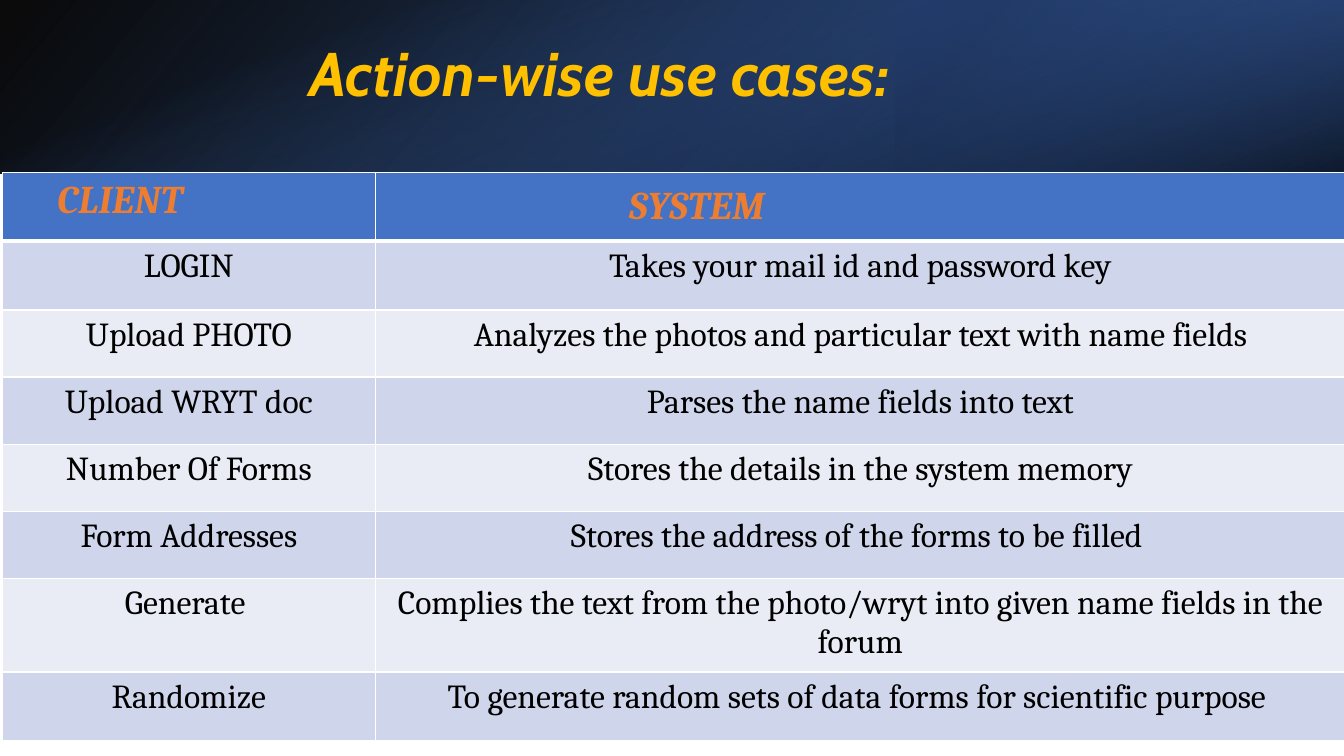
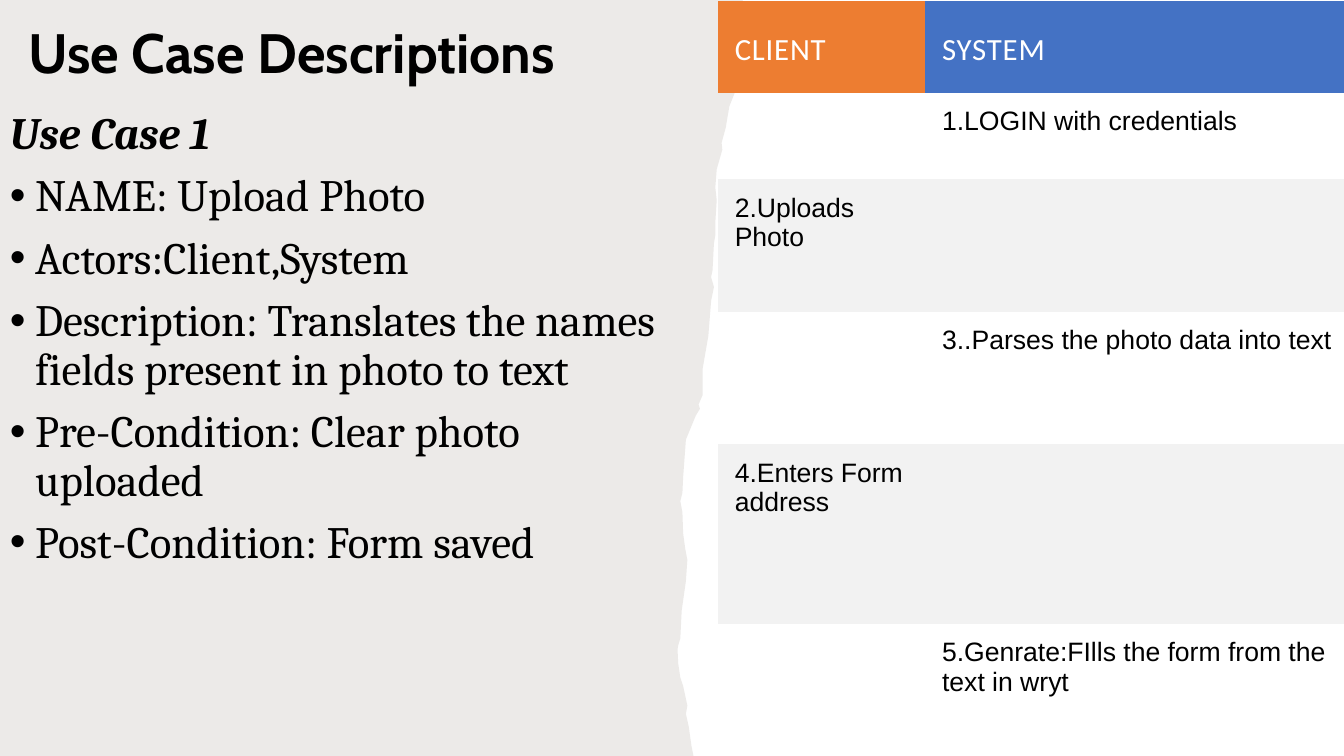
from dataclasses import dataclass, field
from typing import Any

from pptx import Presentation
from pptx.dml.color import RGBColor
from pptx.enum.shapes import MSO_SHAPE
from pptx.enum.text import MSO_ANCHOR, PP_ALIGN
from pptx.oxml.ns import qn
from pptx.oxml.xmlchemy import OxmlElement
from pptx.util import Pt

RECT = MSO_SHAPE.RECTANGLE
TOP, MIDDLE = MSO_ANCHOR.TOP, MSO_ANCHOR.MIDDLE
LEFT, CENTER = PP_ALIGN.LEFT, PP_ALIGN.CENTER
WIDTH, HEIGHT, BAND_H = 960, 540, 123.84
NO_STYLE = "{2D5ABB26-0587-4C30-8999-92F81FD0307C}"

COLORS = {
    "black": "000000", "white": "FFFFFF", "gold": "FFC000",
    "orange": "ED7D31", "blue": "4472C4", "deep": "2F5597",
    "navy": "203864", "row_dark": "CFD5EA", "row_light": "E9EBF5",
    "grey": "F2F2F2", "paper": "82766A",
}

Format = dict[str, Any]
TITLE: Format = {"name": "Cabin", "bold": True}
FORMATS: dict[str, Format] = {
    "banner": {**TITLE, "size": Pt(44), "italic": True, "color": "gold"},
    "heading": {**TITLE, "size": Pt(39.6), "color": "black"},
    "lead": {"name": "Cambria", "size": Pt(32), "bold": True, "italic": True,
             "color": "black"},
    "point": {"name": "Cambria", "size": Pt(32), "color": "black"},
    "case_head": {"name": "Cambria", "size": Pt(28), "bold": True,
                  "italic": True, "color": "orange"},
    "case": {"name": "Cambria", "size": Pt(24), "color": "black"},
    "step_head": {"name": "Calibri", "size": Pt(22), "color": "white"},
    "step": {"name": "Arial", "size": Pt(19), "color": "black"},
}


@dataclass(frozen=True)
class Stop:
    """One gradient stop: position and opacity in percent."""
    pos: int
    color: str
    opacity: int


@dataclass(frozen=True)
class Band:
    """A translucent gradient rectangle; angle runs clockwise."""
    box: tuple[float, float, float, float]
    stops: tuple[Stop, Stop]
    angle: int
    rotation: int = 0
    flip: bool = False


@dataclass(frozen=True)
class Cell:
    """Content and look of one table cell."""
    text: str
    fmt: str
    fill: str | None = None
    anchor: Any = TOP
    align: Any = LEFT
    indent: float = 0
    tracking: int = 0
    borders: dict[str, float] = field(default_factory=dict)


BANDS = [
    Band((0, 0, WIDTH, BAND_H),
         (Stop(0, "black", 96), Stop(100, "deep", 100)), 140, flip=True),
    Band((640, 0, 320, BAND_H),
         (Stop(19, "navy", 68), Stop(100, "blue", 79)), 320, 180, True),
    Band(((WIDTH - BAND_H) / 2, (BAND_H - WIDTH) / 2, BAND_H, WIDTH),
         (Stop(23, "blue", 0), Stop(99, "black", 74)), 340, 90),
]

USE_CASES = [
    ("LOGIN", "Takes your mail id and password key"),
    ("Upload PHOTO", "Analyzes the photos and particular text with name fields"),
    ("Upload WRYT doc", "Parses the name fields\u00a0into text"),
    ("Number Of Forms", "Stores the details in the system memory"),
    ("Form Addresses", "Stores the address of the forms to be filled\u00a0"),
    ("Generate\u00a0", "Complies the text from the photo/wryt into given name "
     "fields in the forum"),
    ("Randomize", "To generate random sets of data forms for scientific "
     "purpose\u00a0"),
]

STEPS = [
    ("", "1.LOGIN with credentials"),
    ("2.Uploads Photo", ""),
    ("", "3..Parses the photo data into text"),
    ("4.Enters Form address", ""),
    ("", "5.Genrate:FIlls the form from the text in wryt"),
]

POINTS = [
    "NAME: Upload Photo",
    "Actors:Client,System",
    "Description: Translates the names fields\u00a0present in photo to text",
    "Pre-Condition: Clear photo uploaded",
    "Post-Condition: Form saved",
]

TORN_EDGE = [
    (530.6, 0), (529, 24.5), (530, 35), (528, 50), (527, 53), (525, 66),
    (521, 76), (519, 88), (518.5, 91), (515.5, 102), (516, 107), (512, 121),
    (511, 134), (512, 143), (511, 159), (511, 168), (510, 174), (509, 193),
    (508, 198), (510, 205), (508, 215), (506, 240), (502, 263), (502, 282),
    (499, 289), (500, 292), (497, 297), (490, 314), (488, 341), (487.5, 352),
    (486, 358), (487.5, 366), (488, 381), (489.5, 392), (491, 400), (490, 415),
    (487, 436), (486, 456), (484.5, 461), (484, 464), (484.5, 474), (486, 484),
    (488, 490), (491, 504), (490, 510), (492, 519), (494, 533), (495.4, 540),
]


def rgb(name: str) -> RGBColor:
    """Look up a named colour."""
    return RGBColor.from_string(COLORS[name])


def write(p: Any, text: str, fmt: str) -> Any:
    """Add a formatted run to a paragraph and return it."""
    r = p.add_run()
    r.text = text
    for key, value in FORMATS[fmt].items():
        if key == "color":
            r.font.color.rgb = rgb(value)
        else:
            setattr(r.font, key, value)
    return r


def set_opacity(sp: Any, percents: list[int]) -> None:
    """Give each colour of a shape's fill its opacity."""
    for clr, percent in zip(sp._element.spPr.iter(qn("a:srgbClr")), percents):
        alpha = OxmlElement("a:alpha")
        alpha.set("val", str(percent * 1000))
        clr.append(alpha)


def add_band(s: Any, band: Band) -> None:
    """Draw one gradient band."""
    sp = s.shapes.add_shape(RECT, *map(Pt, band.box))
    sp.shadow.inherit = False
    sp.line.fill.background()
    sp.rotation = band.rotation
    if band.flip:
        sp._element.spPr.find(qn("a:xfrm")).set("flipH", "1")
    sp.fill.gradient()
    sp.fill.gradient_angle = (360 - band.angle) % 360
    for target, stop in zip(sp.fill.gradient_stops, band.stops):
        target.position = stop.pos / 100
        target.color.rgb = rgb(stop.color)
    set_opacity(sp, [stop.opacity for stop in band.stops])


def add_paper(s: Any) -> None:
    """Draw the translucent sheet with a torn right edge."""
    outline = [(Pt(x), Pt(y)) for x, y in [*TORN_EDGE, (0, HEIGHT)]]
    builder = s.shapes.build_freeform(0, 0, scale=1.0)
    builder.add_line_segments(outline, close=True)
    sp = builder.convert_to_shape()
    sp.shadow.inherit = False
    sp.line.fill.background()
    sp.fill.solid()
    sp.fill.fore_color.rgb = rgb("paper")
    set_opacity(sp, [15])


def add_text_box(s: Any, x: float, y: float, w: float, h: float,
                 anchor: Any) -> Any:
    """Add a wrapping text box and return its frame."""
    tf = s.shapes.add_textbox(Pt(x), Pt(y), Pt(w), Pt(h)).text_frame
    tf.word_wrap = True
    tf.vertical_anchor = anchor
    return tf


def add_title(s: Any, text: str, fmt: str, x: float, y: float, w: float,
              h: float) -> None:
    """Add a slide title."""
    p = add_text_box(s, x, y, w, h, MIDDLE).paragraphs[0]
    p.line_spacing = 0.9
    write(p, text, fmt)


def add_bullet(p: Any) -> None:
    """Give a paragraph a hanging bullet."""
    pPr = p._p.get_or_add_pPr()
    pPr.set("marL", str(Pt(18)))
    pPr.set("indent", str(-Pt(18)))
    for tag, key, value in (("a:buFont", "typeface", "Arial"),
                            ("a:buChar", "char", "•")):
        bullet = OxmlElement(tag)
        bullet.set(key, value)
        pPr.append(bullet)


def add_body(s: Any, lead: str, points: list[str]) -> None:
    """Add a lead line followed by bullet points."""
    tf = add_text_box(s, 0, 75.6, 483, 433.4, TOP)
    for i, text in enumerate([lead, *points]):
        p = tf.add_paragraph() if i else tf.paragraphs[0]
        p.line_spacing = 0.9
        p.space_before = Pt(10)
        if i:
            add_bullet(p)
        write(p, text, "point" if i else "lead")


def set_borders(tc: Any, widths: dict[str, float]) -> None:
    """Draw white cell borders, keyed L, R, T, B."""
    tcPr = tc._tc.get_or_add_tcPr()
    for i, (side, width) in enumerate(widths.items()):
        ln = OxmlElement(f"a:ln{side}")
        ln.set("w", str(Pt(width)))
        fill, clr = OxmlElement("a:solidFill"), OxmlElement("a:srgbClr")
        clr.set("val", COLORS["white"])
        fill.append(clr)
        ln.append(fill)
        tcPr.insert(i, ln)


def fill_cell(tc: Any, cell: Cell, insets: Format) -> None:
    """Write and style one table cell."""
    for key, value in insets.items():
        setattr(tc, key, Pt(value))
    if cell.indent:
        tc.margin_left = Pt(cell.indent)
    tc.vertical_anchor = cell.anchor
    if cell.fill:
        tc.fill.solid()
        tc.fill.fore_color.rgb = rgb(cell.fill)
    else:
        tc.fill.background()
    set_borders(tc, cell.borders)
    if cell.text:
        p = tc.text_frame.paragraphs[0]
        p.alignment = cell.align
        r = write(p, cell.text, cell.fmt)
        if cell.tracking:
            r._r.get_or_add_rPr().set("spc", str(cell.tracking))


def add_grid(s: Any, x: float, y: float, cols: list[float], rows: list[float],
             cells: list[list[Cell]], insets: Format) -> None:
    """Add a plain table and fill its cells."""
    frame = s.shapes.add_table(len(rows), len(cols), Pt(x), Pt(y),
                               Pt(sum(cols)), Pt(sum(rows)))
    table = frame.table
    table.first_row = table.horz_banding = False
    table._tbl.tblPr.find(qn("a:tableStyleId")).text = NO_STYLE
    for col, width in zip(table.columns, cols):
        col.width = Pt(width)
    for i, (height, line) in enumerate(zip(rows, cells)):
        table.rows[i].height = Pt(height)
        for j, cell in enumerate(line):
            fill_cell(table.cell(i, j), cell, insets)


def build_use_cases(s: Any) -> None:
    """Slide with the table of use cases by action."""
    for band in BANDS:
        add_band(s, band)
    add_title(s, "Action-wise use cases:", "banner", 213.84, 22.7, 626.4, 64)
    thin = dict.fromkeys("LRTB", 1)
    head = {"fill": "blue", "borders": {**thin, "B": 3}}
    cells = [[Cell("CLIENT", "case_head", indent=39.3, **head),
              Cell("SYSTEM", "case_head", anchor=MIDDLE, indent=181, **head)]]
    for i, line in enumerate(USE_CASES):
        fill = "row_light" if i % 2 else "row_dark"
        borders = thin if i else {**thin, "T": 3}
        cells.append([Cell(text, "case", fill, align=CENTER, borders=borders)
                      for text in line])
    insets = {"margin_left": 8.64, "margin_right": 8.64,
              "margin_top": 4.32, "margin_bottom": 4.32}
    add_grid(s, 1.6, 123.2, [266.6, 692.6],
             [48.9, 49.4, *[47.9] * 4, 67, 49.4], cells, insets)


def build_description(s: Any) -> None:
    """Slide describing the first use case step by step."""
    add_paper(s)
    add_title(s, "Use Case Descriptions", "heading", 13, 0, 458, 80)
    add_body(s, "Use Case 1", POINTS)
    cells = [[Cell(text, "step_head", fill, MIDDLE, tracking=60)
              for text, fill in (("CLIENT", "orange"), ("SYSTEM", "blue"))]]
    for i, line in enumerate(STEPS):
        cells.append([Cell(text, "step", "grey" if i % 2 else None)
                      for text in line])
    insets = {"margin_left": 12.24, "margin_right": 11.5,
              "margin_top": 10.08, "margin_bottom": 5.76}
    add_grid(s, 512.64, 0.72, [148.1, 303.3],
             [65.6, 61.8, 94.6, 94.4, 128.3, 94.4], cells, insets)


prs = Presentation()
prs.slide_width, prs.slide_height = Pt(WIDTH), Pt(HEIGHT)
for build in (build_use_cases, build_description):
    build(prs.slides.add_slide(prs.slide_layouts[6]))
prs.save("out.pptx")
